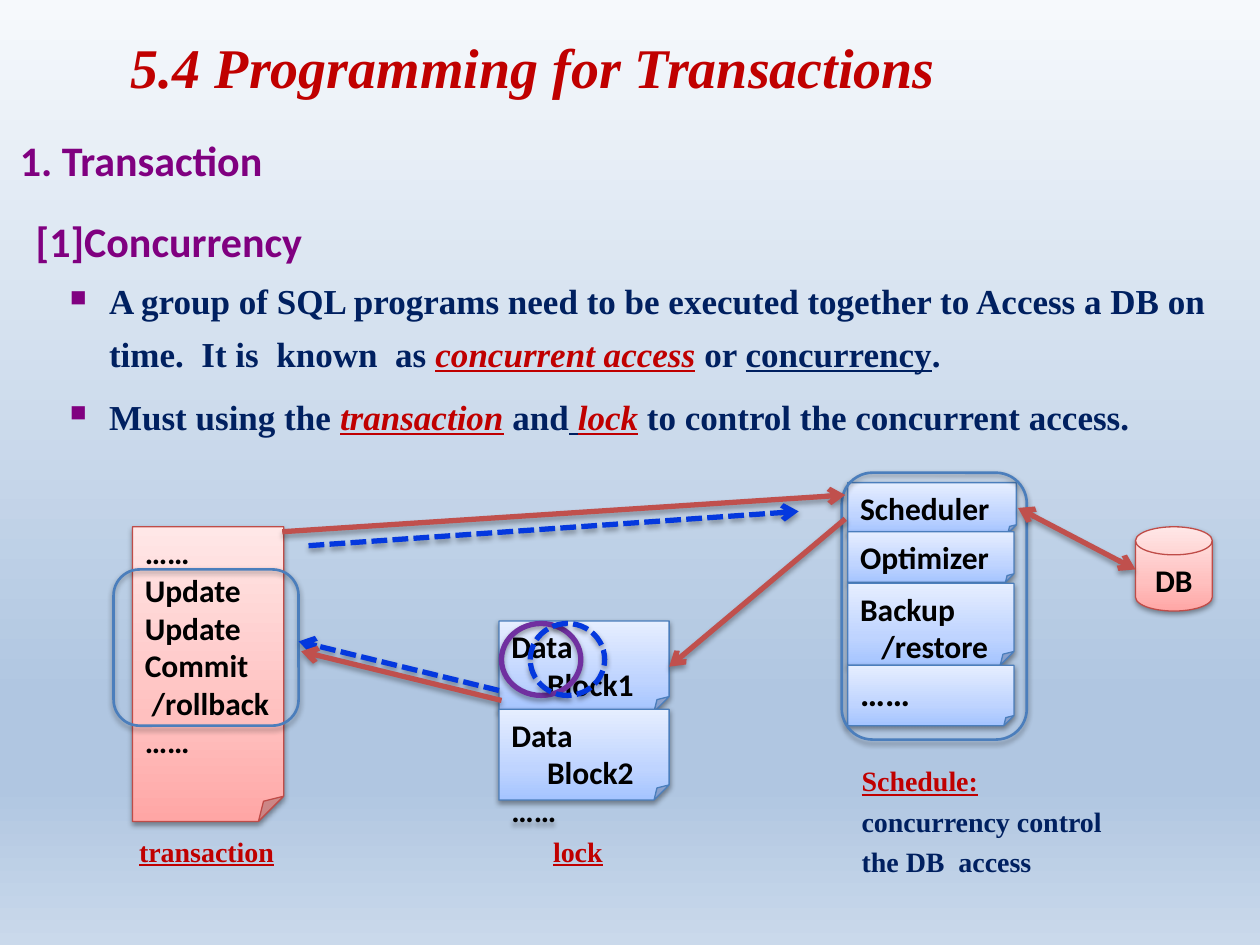
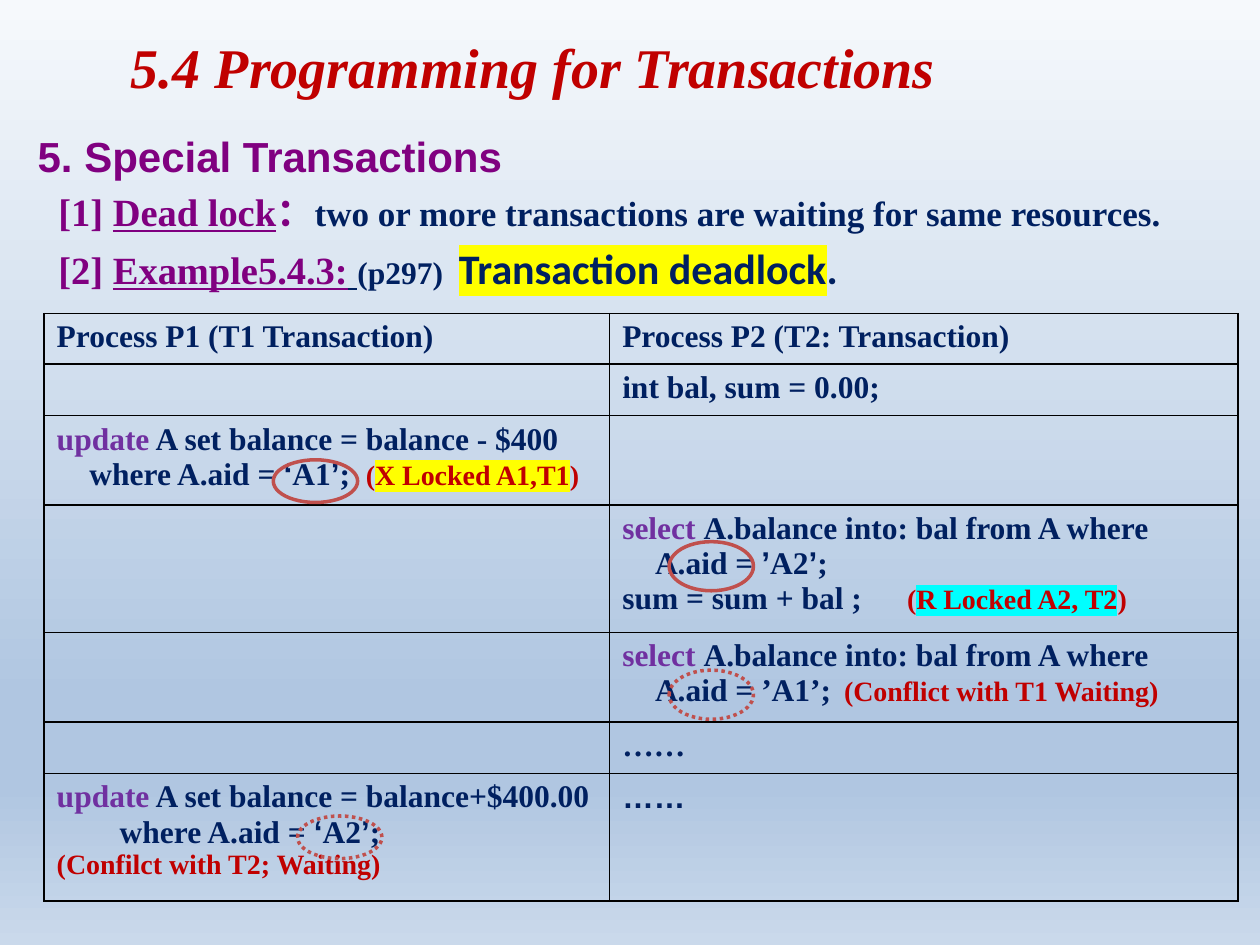
import pptx
import pptx.dml.color
import pptx.enum.dml
import pptx.enum.shapes
import pptx.enum.text
import pptx.oxml
import pptx.oxml.ns
import pptx.util

Cm, Pt = pptx.util.Cm, pptx.util.Pt
SHAPE = pptx.enum.shapes.MSO_SHAPE
DASH = pptx.enum.dml.MSO_LINE.SQUARE_DOT
DOT = pptx.enum.dml.MSO_LINE.ROUND_DOT
CENTER = pptx.enum.text.PP_ALIGN.CENTER
LEFT = pptx.enum.text.PP_ALIGN.LEFT
qn = pptx.oxml.ns.qn

COLORS = {
    "red": "C00000", "purple": "800080", "navy": "002060", "violet": "7030A0",
    "black": "000000", "brick": "C0504D", "blue": "0438DE", "steel": "4B7EBC",
    "rose": "BF4C48", "yellow": "FFFF00", "cyan": "00FFFF",
}
GRADIENTS = {
    "page": (90, [(0, "F6F9FC"), (74, "B0C6E1"), (83, "B0C6E1"), (100, "CAD9EB")]),
    "rose": (270, [(0, "FFA6A5"), (35, "FFC0BF"), (100, "FFE7E7")]),
    "steel": (270, [(0, "A4C4FF"), (35, "BFD4FF"), (100, "E6EEFF")]),
}
TITLE = dict(name="Times New Roman", size=32, color="red", bold=True, italic=True)
HEADING = dict(name="Calibri", size=24, color="purple", bold=True)
BODY = dict(name="Times New Roman", size=20, color="navy", bold=True)
LABEL = dict(name="Calibri", size=18, color="black", bold=True)
CAPTION = dict(name="Times New Roman", size=16, color="red", bold=True, underline=True)
CELL = dict(BODY, size=18)
TERM = dict(color="red", italic=True, underline=True)
TOPIC = dict(size=22, color="purple")
KEYWORD = dict(color="violet")
NOTE = dict(size=16, color="red")
QUOTE = dict(name="Arial")


def rgb(color):
    return pptx.dml.color.RGBColor.from_string(COLORS[color])


def add_xml(parent, xml):
    """Append an element written with the a: prefix."""
    head, tail = xml.split(" ", 1) if " " in xml.split(">")[0] else (xml[:-2], "/>")
    el = pptx.oxml.parse_xml(f"{head} {pptx.oxml.ns.nsdecls('a')} {tail}")
    parent.append(el)
    return el


def set_gradient(fill, owner, key):
    """Give a fill all the stops of a named gradient."""
    angle, stops = GRADIENTS[key]
    fill.gradient()
    grad = next(owner.iter(qn("a:gradFill")))
    for child in list(grad):
        grad.remove(child)
    gs = "".join(f'<a:gs pos="{pos * 1000}"><a:srgbClr val="{val}"/></a:gs>' for pos, val in stops)
    add_xml(grad, f'<a:gsLst >{gs}</a:gsLst>')
    add_xml(grad, f'<a:lin ang="{angle * 60000}" scaled="0"/>')


def set_shadow(effects, alpha, dist):
    """Add a soft shadow that falls straight down."""
    add_xml(effects, f'<a:outerShdw blurRad="40000" dist="{dist}" dir="5400000" rotWithShape="0">'
            f'<a:srgbClr val="{COLORS["black"]}"><a:alpha val="{alpha * 1000}"/></a:srgbClr></a:outerShdw>')


def set_font(font, color=None, highlight=None, **attrs):
    """Set the given font attributes, with an optional text highlight."""
    for key, value in attrs.items():
        setattr(font, key, Pt(value) if key == "size" else value)
    if color:
        font.color.rgb = rgb(color)
    if highlight:
        fill = next(font._element.iter(qn("a:solidFill")))
        hl = add_xml(font._element, f'<a:highlight ><a:srgbClr val="{COLORS[highlight]}"/></a:highlight>')
        fill.addnext(hl)


def add_text(tf, runs, base, left=0, first=0, before=None, line=None, align=LEFT, bullet=False, tab=None):
    """Add a paragraph of strings and (string, overrides) pairs."""
    p = tf.paragraphs[0]
    if p.runs:
        p = tf.add_paragraph()
    p.alignment = align
    if before is not None:
        p.space_before = Pt(before)
    if line:
        p.line_spacing = line
    pPr = p._p.get_or_add_pPr()
    pPr.set("marL", str(int(Cm(left))))
    pPr.set("indent", str(int(Cm(first))))
    if bullet:
        add_xml(pPr, f'<a:buClr ><a:srgbClr val="{COLORS["purple"]}"/></a:buClr>')
        add_xml(pPr, '<a:buSzPct val="65000"/>')
        add_xml(pPr, '<a:buChar char="■"/>')
    if tab:
        add_xml(pPr, f'<a:tabLst ><a:tab pos="{int(Cm(tab))}" algn="l"/></a:tabLst>')
    set_font(p.font, **base)
    for run in [runs] if isinstance(runs, str) else runs:
        text, style = (run, {}) if isinstance(run, str) else run
        r = p.add_run()
        r.text = text
        set_font(r.font, **style)


def add_textbox(slide, x, y, w, h):
    """Add a wrapping text box and return its frame."""
    tf = slide.shapes.add_textbox(Cm(x), Cm(y), Cm(w), Cm(h)).text_frame
    tf.word_wrap = True
    return tf


def set_line(line, color, width, dash=None):
    line.color.rgb = rgb(color)
    line.width = Pt(width)
    if dash:
        line.dash_style = dash


def add_outline(slide, kind, box, color, width, dash=None, shadow=True):
    """Add an unfilled preset shape."""
    sp = slide.shapes.add_shape(kind, *map(Cm, box))
    sp.shadow.inherit = False
    sp.fill.background()
    set_line(sp.line, color, width, dash)
    if shadow:
        set_shadow(sp._element.spPr.find(qn("a:effectLst")), 38, 20000)
    return sp


def add_node(slide, kind, box, theme, lines, size=18, align=LEFT):
    """Add a gradient shape holding (text, indent) lines."""
    sp = add_outline(slide, kind, box, theme, 0.75)
    set_gradient(sp.fill, sp._element, theme)
    tf = sp.text_frame
    tf.vertical_anchor = pptx.enum.text.MSO_ANCHOR.TOP
    for text, indent in lines:
        add_text(tf, text, dict(LABEL, size=size), left=indent, align=align)


def add_arrow(slide, start, end, color="brick", dash=None, both=False):
    """Add a thick arrow with a shadow."""
    c = slide.shapes.add_connector(pptx.enum.shapes.MSO_CONNECTOR.STRAIGHT, *map(Cm, start + end))
    set_line(c.line, color, 3, dash)
    ln = c.line._get_or_add_ln()
    if both:
        add_xml(ln, '<a:headEnd type="arrow"/>')
    add_xml(ln, '<a:tailEnd type="arrow"/>')
    set_shadow(add_xml(c._element.spPr, "<a:effectLst/>"), 35, 23000)


def add_titled_slide(prs):
    """Add a blank slide with the shared title."""
    slide = prs.slides.add_slide(prs.slide_layouts[6])
    add_text(add_textbox(slide, 2.39, 0.53, 23.01, 1.63), "5.4 Programming for Transactions", TITLE)
    return slide


def concurrency_text(slide, x, y, w, h):
    """Write the headings and bullets on concurrency."""
    tf = add_textbox(slide, x, y, w, h)
    add_text(tf, "1. Transaction", HEADING)
    add_text(tf, "[1]Concurrency", HEADING, left=0.32, before=3, line=1.5)
    bullets = [
        (2, ["A group of SQL programs need to be executed together to Access a DB on time.  It is  known  as ",
             ("concurrent access", TERM), " or ", ("concurrency", dict(underline=True)), "."]),
        (6, ["Must using the ", ("transaction", TERM), " and", (" ", dict(underline=True)),
             ("lock", TERM), " to control the concurrent access."]),
    ]
    for before, runs in bullets:
        add_text(tf, runs, BODY, left=1.8, first=-0.79, before=before, line=Pt(30), bullet=True)


def transaction_program(slide, x, y):
    """Draw the program page, its transaction frame and caption."""
    lines = [("……", 0), ("Update", 0), ("Update", 0), ("Commit", 0), ("/rollback", 0.14), ("……", 0)]
    add_node(slide, SHAPE.FOLDED_CORNER, (x, y, 3.05, 5.94), "rose", lines)
    add_outline(slide, SHAPE.ROUNDED_RECTANGLE, (x - 0.38, y + 0.86, 3.73, 3.15), "steel", 1.5)
    add_text(add_textbox(slide, x - 0.18, y + 6.07, 3.35, 1.04), "transaction", CAPTION, align=CENTER)


def data_blocks(slide, x, y):
    """Draw the two data blocks with the competing locks."""
    for i, more in enumerate([[], [("……", 0)]]):
        add_node(slide, SHAPE.FOLDED_CORNER, (x, y + 1.78 * i, 3.43, 1.83), "steel",
                 [("Data", 0), (f"Block{i + 1}", 0.72)] + more)
    add_outline(slide, SHAPE.OVAL, (x + 0.05, y + 0.05, 1.6, 1.45), "violet", 3)
    add_outline(slide, SHAPE.OVAL, (x + 0.63, y + 0.05, 1.5, 1.45), "blue", 3, DASH)
    add_text(add_textbox(slide, x + 0.84, y + 4.17, 1.7, 1.02), "lock", CAPTION)


def scheduler_stack(slide, x, y):
    """Draw the stack of DB services with its frame and caption."""
    services = [
        (0.2, 3.4, 1.02, 18, [("Scheduler", 0)]),
        (1.19, 3.35, 1.02, 18, [("Optimizer", 0)]),
        (2.23, 3.35, 1.65, 18, [("Backup", 0), ("/restore", 0.43)]),
        (3.88, 3.35, 1.22, 20, [("……", 0)]),
    ]
    for top, w, h, size, lines in services:
        add_node(slide, SHAPE.FOLDED_CORNER, (x + 0.12, y + top, w, h), "steel", lines, size)
    add_outline(slide, SHAPE.ROUNDED_RECTANGLE, (x, y, 3.73, 5.38), "steel", 1.5)
    tf = add_textbox(slide, x + 0.15, y + 5.74, 5.8, 1.45)
    add_text(tf, "Schedule:", CAPTION)
    for text in ("concurrency control", "the DB  access"):
        add_text(tf, text, dict(BODY, size=16), before=4)


def access_diagram(slide, x, y):
    """Place the diagram parts and the arrows between them."""
    add_node(slide, SHAPE.FLOWCHART_MAGNETIC_DISK, (x + 20.6, y + 1.09, 1.55, 1.7), "rose",
             [("DB", 0)], align=CENTER)
    transaction_program(slide, x + 0.38, y + 1.09)
    data_blocks(slide, x + 7.77, y + 2.99)
    scheduler_stack(slide, x + 14.68, y)
    arrows = [
        ((3.4, 1.19), (14.75, 0.45), {}),
        ((18.23, 0.71), (20.6, 1.95), dict(both=True)),
        ((14.75, 0.93), (11.2, 3.91), {}),
        ((7.77, 4.39), (3.73, 3.4), dict(color="blue", dash=DASH)),
        ((7.82, 4.59), (3.78, 3.6), {}),
        ((3.93, 1.47), (13.81, 0.78), dict(color="blue", dash=DASH)),
    ]
    for (x1, y1), (x2, y2), style in arrows:
        add_arrow(slide, (x + x1, y + y1), (x + x2, y + y2), **style)


def deadlock_text(slide, x, y, w, h):
    """Write the headings on deadlock."""
    tf = add_textbox(slide, x, y, w, h)
    topic = dict(TOPIC, underline=True)
    add_text(tf, "5. Special Transactions", dict(HEADING, name="Arial"))
    add_text(tf, [("[1] ", TOPIC), ("Dead lock", topic), ("：", TOPIC),
                  "two or more transactions are waiting for same resources."], BODY, left=0.42, before=4)
    add_text(tf, [("[2] ", TOPIC), ("Example5.4.3:", topic), (" ", dict(size=22, underline=True)),
                  ("(p297)  ", dict(size=18)),
                  ("Transaction deadlock", dict(name="Calibri", size=24, color="navy", highlight="yellow")),
                  (".", dict(name="Calibri", size=24))], BODY, left=0.42, before=5)


def quoted(opening, item):
    return [(opening, QUOTE), item, ("’", QUOTE)]


def lock_note(text, highlight):
    return [("(", NOTE), (text, dict(NOTE, highlight=highlight)), (")", NOTE)]


def deadlock_table(slide, x, y):
    """Draw the timeline of both processes and ring the contested items."""
    select = [("select ", KEYWORD), "A.balance into: bal from A where A.aid = "]
    update = ("update", KEYWORD)
    rows = [
        (1.02, [["Process P1 (T1 Transaction)"]], [["Process P2 (T2: Transaction)"]]),
        (1.04, [], [["int bal, sum = 0.00;"]]),
        (1.8, [[update, " A set balance = balance - $400 where A.aid = ", *quoted("‘", "A1"), ";  ",
                *lock_note("X Locked A1,T1", "yellow")]], []),
        (2.57, [], [[*select, *quoted("’", "A2"), ";"],
                    ["sum = sum + bal ;\t", *lock_note("R Locked A2, T2", "cyan")]]),
        (1.8, [], [[*select, "’A1’;\t", ("(Conflict with T1 Waiting)", NOTE)]]),
        (1.04, [], [["……"]]),
        (2.57, [[update, " A set balance = balance+$400.00"],
                ["where A.aid = ", *quoted("‘", "A2"), ";"],
                [("(Confilct with T2; Waiting)", NOTE)]], [[("……", QUOTE)]]),
    ]
    tabs = {3: 5.33, 4: 3.7}
    widths = (11.4, 12.67)
    frame = slide.shapes.add_table(len(rows), 2, Cm(x), Cm(y), Cm(sum(widths)), Cm(sum(r[0] for r in rows)))
    table = frame.table
    table.first_row = table.horz_banding = False
    for column, width in zip(table.columns, widths):
        column.width = Cm(width)
    for i, (height, *cells) in enumerate(rows):
        table.rows[i].height = Cm(height)
        for j, paragraphs in enumerate(cells):
            cell = table.cell(i, j)
            tcPr = cell._tc.get_or_add_tcPr()
            for side in "LRTB":
                add_xml(tcPr, f'<a:ln{side} w="12700"><a:solidFill><a:srgbClr val="{COLORS["black"]}"/>'
                        f'</a:solidFill></a:ln{side}>')
            cell.fill.background()
            for runs in paragraphs:
                where = runs[0] == "where A.aid = "
                add_text(cell.text_frame, runs, CELL, left=1.27 if where else 0.66,
                         first=0 if where else -0.66, tab=tabs.get(i))
    for dx, dy, h, dash in [(4.62, 2.95, 0.86, None), (12.6, 4.6, 0.99, None),
                            (12.6, 7.19, 0.99, DOT), (5.11, 10.13, 0.86, DOT)]:
        add_outline(slide, SHAPE.OVAL, (x + dx, y + dy, 1.7, h), "brick", 2, dash, shadow=False)


def main():
    """Build both slides and save the deck."""
    prs = pptx.Presentation()
    prs.slide_width, prs.slide_height = Cm(25.4), Cm(19.05)
    master = prs.slide_master
    set_gradient(master.background.fill, master._element, "page")
    slide = add_titled_slide(prs)
    concurrency_text(slide, 0.15, 2.59, 25.25, 6.53)
    access_diagram(slide, 2.29, 9.53)
    slide = add_titled_slide(prs)
    deadlock_table(slide, 0.89, 6.32)
    deadlock_text(slide, 0.51, 2.51, 24.82, 3.81)
    prs.save("out.pptx")


if __name__ == "__main__":
    main()
